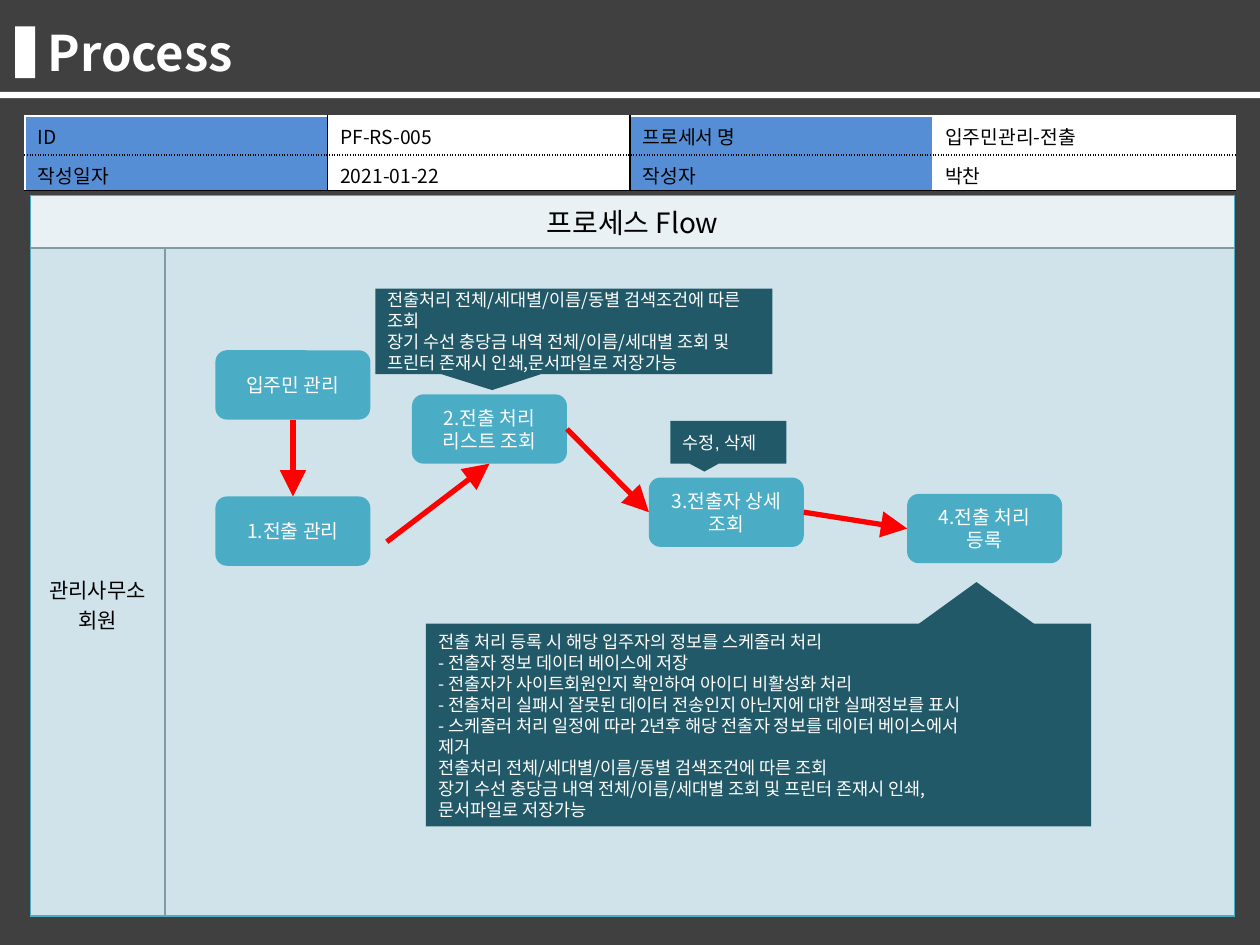
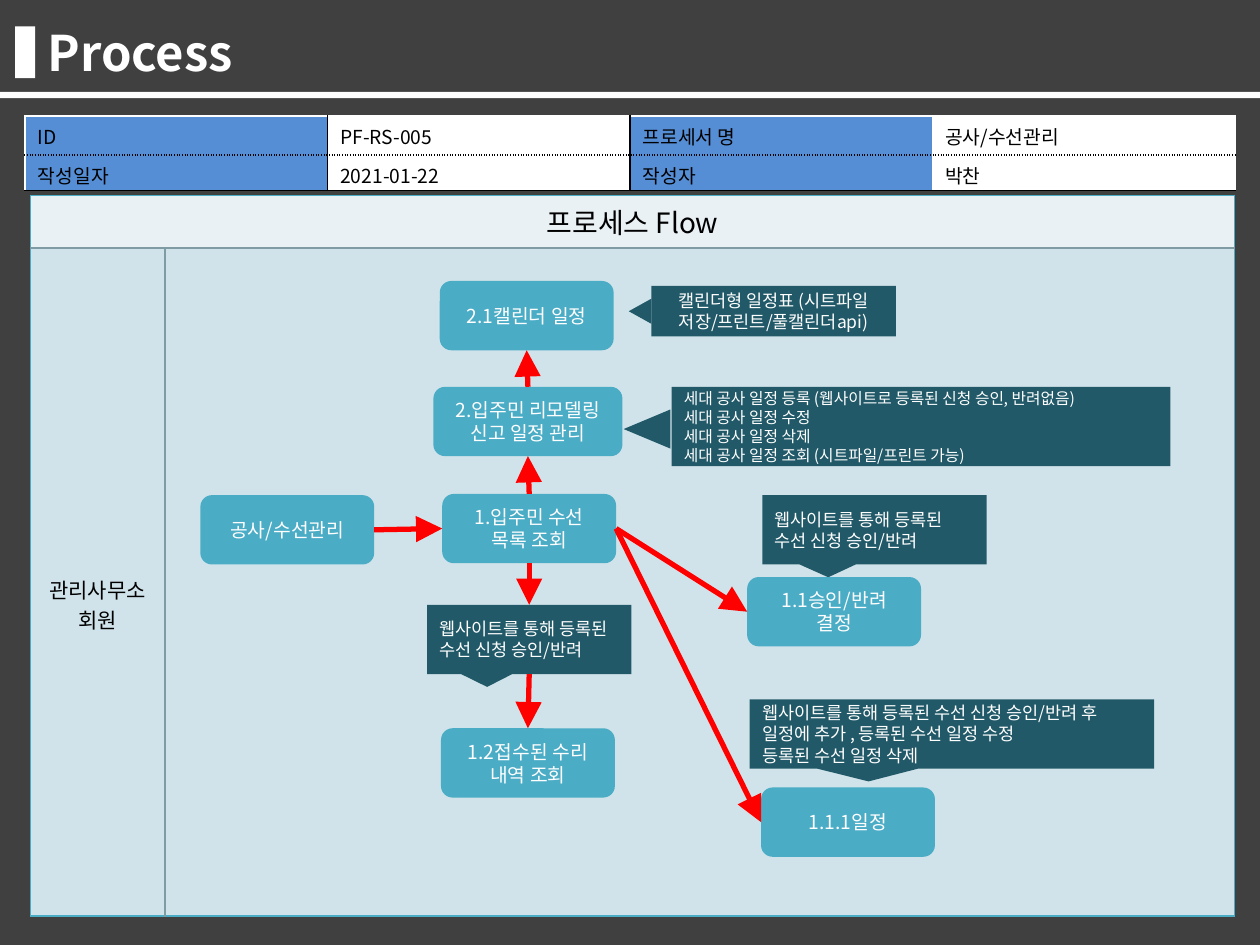
from lxml.etree import SubElement
from pptx import Presentation
from pptx.dml.color import RGBColor
from pptx.enum.shapes import MSO_CONNECTOR, MSO_SHAPE
from pptx.enum.text import MSO_ANCHOR, PP_ALIGN
from pptx.oxml.ns import qn
from pptx.util import Inches, Pt

FONT = "Noto Sans CJK KR"
WHITE = RGBColor(0xFF, 0xFF, 0xFF)
BLACK = RGBColor(0x00, 0x00, 0x00)
CHARCOAL = RGBColor(0x40, 0x40, 0x40)
BLUE = RGBColor(0x55, 0x8E, 0xD5)
AQUA = RGBColor(0x4B, 0xAC, 0xC6)
TEAL = RGBColor(0x21, 0x59, 0x68)
MIST = RGBColor(0xD0, 0xE3, 0xEA)
PALE = RGBColor(0xE9, 0xF1, 0xF5)
GREY = RGBColor(0x7F, 0x9C, 0xA4)
RED = RGBColor(0xFF, 0x00, 0x00)

TITLE_STYLE = {"size": Pt(28), "bold": True, "color": WHITE}
HEADING_STYLE = {"size": Pt(16), "color": BLACK}
ACTOR_STYLE = {"size": Pt(12), "color": BLACK}
META_STYLE = {"size": Pt(11), "color": BLACK}
STEP_STYLE = {"size": Pt(11), "color": WHITE}
NOTE_STYLE = {"size": Pt(10), "color": WHITE}
SMALL_NOTE_STYLE = {"size": Pt(9), "color": WHITE}
ARIAL_NOTE_STYLE = NOTE_STYLE | {"name": "Arial"}

TOP, LEFT, BOTTOM, RIGHT = range(4)
STEP_HEIGHT = 0.55
REQUEST_NOTE = ["웹사이트를 통해 등록된 수선 신청 승인/반려"]

# steps: key -> (left, top, text)
# callouts: key -> (box, paragraphs, style)
# panels: (box, paragraphs, style, alignment, pointer box, pointer rotation)
# arrows: (from, to), each end a (key, side) pair or a free (x, y) point
PROCESSES = [
    {
        "name": "입주민관리-전출",
        "step_width": 1.23,
        "steps": {
            "root": (1.71, 2.78, "입주민 관리"),
            "1": (1.71, 3.94, "1.전출 관리"),
            "2": (3.27, 3.13, "2.전출 처리 리스트 조회"),
            "3": (5.15, 3.79, "3.전출자 상세 조회"),
            "4": (7.2, 3.92, "4.전출 처리 등록"),
        },
        "callouts": {
            "search": ((2.98, 2.29, 3.15, 0.68), [
                "전출처리 전체/세대별/이름/동별 검색조건에 따른 조회",
                "장기 수선 충당금 내역 전체/이름/세대별 조회 및 프린터 존재시 인쇄,문서파일로 저장가능",
            ], NOTE_STYLE),
            "edit": ((5.32, 3.34, 0.92, 0.34), ["수정, 삭제"], ARIAL_NOTE_STYLE),
        },
        "panels": [
            ((3.38, 4.95, 5.28, 1.61), [
                "전출 처리 등록 시 해당 입주자의 정보를 스케줄러 처리",
                "- 전출자 정보 데이터 베이스에 저장",
                "- 전출자가 사이트회원인지 확인하여 아이디 비활성화 처리",
                "- 전출처리 실패시 잘못된 데이터 전송인지 아닌지에 대한 실패정보를 표시",
                "- 스케줄러 처리 일정에 따라 2년후 해당 전출자 정보를 데이터 베이스에서\v제거",
                "전출처리 전체/세대별/이름/동별 검색조건에 따른 조회",
                "장기 수선 충당금 내역 전체/이름/세대별 조회 및 프린터 존재시 인쇄,\v문서파일로 저장가능",
            ], NOTE_STYLE, PP_ALIGN.LEFT, (7.28, 4.62, 0.94, 0.34), 0),
        ],
        "arrows": [
            (("root", BOTTOM), ("1", TOP)),
            ((3.07, 4.3), ("2", BOTTOM)),
            (("2", RIGHT), ("3", LEFT)),
            (("3", RIGHT), ("4", LEFT)),
        ],
    },
    {
        "name": "공사/수선관리",
        "step_width": 1.38,
        "steps": {
            "root": (1.59, 3.93, "공사/수선관리"),
            "1": (3.51, 3.92, "1.입주민 수선 목록 조회"),
            "1.2": (3.5, 5.78, "1.2접수된 수리 내역 조회"),
            "1.1": (5.93, 4.58, "1.1승인/반려 결정"),
            "1.1.1": (6.04, 6.25, "1.1.1일정"),
            "2": (3.44, 3.07, "2.입주민 리모델링 신고 일정 관리", 1.5),
            "2.1": (3.49, 2.23, "2.1캘린더 일정"),
        },
        "callouts": {
            "decision": ((6.05, 3.93, 1.78, 0.55), REQUEST_NOTE, NOTE_STYLE),
            "schedule": ((5.95, 5.55, 3.21, 0.55), [
                "웹사이트를 통해 등록된 수선 신청 승인/반려 후 일정에 추가 , 등록된 수선 일정 수정",
                "등록된 수선 일정 삭제",
            ], NOTE_STYLE),
            "request": ((3.39, 4.8, 1.62, 0.55), REQUEST_NOTE, NOTE_STYLE),
        },
        "panels": [
            ((5.17, 2.27, 1.94, 0.4), ["캘린더형 일정표 (시트파일 저장/프린트/풀캘린더api)"],
             NOTE_STYLE, PP_ALIGN.CENTER, (4.98, 2.38, 0.2, 0.18), 270),
            ((5.33, 3.07, 3.96, 0.63), [
                "세대 공사 일정 등록 (웹사이트로 등록된 신청 승인, 반려없음)",
                "세대 공사 일정 수정",
                "세대 공사 일정 삭제",
                "세대 공사 일정 조회 (시트파일/프린트 가능)",
            ], SMALL_NOTE_STYLE, PP_ALIGN.LEFT, (4.98, 3.22, 0.31, 0.37), 270),
        ],
        "arrows": [
            (("root", RIGHT), ("1", LEFT)),
            (("1", RIGHT), ("1.1", LEFT)),
            (("1", RIGHT), ("1.1.1", LEFT)),
            (("1", BOTTOM), ("request", TOP)),
            (("request", BOTTOM), ("1.2", TOP)),
            (("1", TOP), ("2", BOTTOM)),
            (("2", TOP), ("2.1", BOTTOM)),
        ],
    },
]


def write(frame, paragraphs, style, align=PP_ALIGN.LEFT):
    frame.word_wrap = True
    frame.text = "\n".join(paragraphs)
    for paragraph in frame.paragraphs:
        paragraph.alignment = align
        for run in paragraph.runs:
            for attribute, value in ({"name": FONT} | style).items():
                if attribute == "color":
                    run.font.color.rgb = value
                else:
                    setattr(run.font, attribute, value)
            SubElement(run.font._element, qn("a:ea"), typeface=FONT)


def add_block(slide, preset, box, color):
    block = slide.shapes.add_shape(preset, *map(Inches, box))
    block.shadow.inherit = False
    block.fill.solid()
    block.fill.fore_color.rgb = color
    block.line.fill.background()
    return block


def add_note(slide, preset, box, color, paragraphs, style, align=PP_ALIGN.LEFT):
    note = add_block(slide, preset, box, color)
    note.text_frame.vertical_anchor = MSO_ANCHOR.MIDDLE
    write(note.text_frame, paragraphs, style, align)
    return note


def add_plain_table(slide, box, widths, heights):
    table = slide.shapes.add_table(len(heights), len(widths), *map(Inches, box)).table
    table.first_row = table.horz_banding = False
    for column, width in zip(table.columns, widths):
        column.width = Inches(width)
    for row, height in zip(table.rows, heights):
        row.height = Inches(height)
    return table


def format_cell(cell, color, borders):
    """Borders are (color, dash) pairs for left, right, top and bottom."""
    properties = cell._tc.get_or_add_tcPr()
    for side, (border_color, dash) in zip("LRTB", borders):
        line = SubElement(properties, qn(f"a:ln{side}"), w=str(Pt(1)))
        SubElement(SubElement(line, qn("a:solidFill")), qn("a:srgbClr"), val=str(border_color))
        SubElement(line, qn("a:prstDash"), val=dash)
    cell.fill.solid()
    cell.fill.fore_color.rgb = color


def add_frame(slide):
    """Background, title, title marker and rule."""
    add_block(slide, MSO_SHAPE.RECTANGLE, (0, 0, 10, 7.5), CHARCOAL)
    title = slide.shapes.add_textbox(*map(Inches, (0.28, 0.13, 8.98, 0.57)))
    write(title.text_frame, ["Process"], TITLE_STYLE)
    for box in [(0.12, 0.21, 0.16, 0.41), (0, 0.73, 10, 0.05)]:
        add_block(slide, MSO_SHAPE.RECTANGLE, box, WHITE)


def add_flow_table(slide):
    table = add_plain_table(slide, (0.24, 1.55, 9.56, 5.72), [1.07, 8.49], [0.42, 5.3])
    heading, actor, flow = table.cell(0, 0), table.cell(1, 0), table.cell(1, 1)
    outer, inner = (AQUA, "solid"), (GREY, "solid")
    for cell in table.rows[0].cells:
        format_cell(cell, PALE, [outer, outer, outer, inner])
    format_cell(actor, MIST, [outer, inner, inner, outer])
    format_cell(flow, MIST, [inner, outer, inner, outer])
    heading.merge(table.cell(0, 1))
    write(heading.text_frame, ["프로세스 Flow"], HEADING_STYLE, PP_ALIGN.CENTER)
    write(actor.text_frame, ["관리사무소 회원"], ACTOR_STYLE, PP_ALIGN.CENTER)
    actor.vertical_anchor = MSO_ANCHOR.MIDDLE
    actor.margin_top = Inches(0.4)


def add_meta_table(slide, process_name):
    rows = [
        ["ID", "PF-RS-005", "프로세서 명", process_name],
        ["작성일자", "2021-01-22", "작성자", "박찬"],
    ]
    vertical = [(color, "solid") for color in (WHITE, BLACK, BLACK, WHITE, WHITE)]
    horizontal = [(WHITE, "solid"), (BLACK, "sysDot"), (BLACK, "solid")]
    table = add_plain_table(slide, (0.2, 0.92, 9.6, 0.59), [2.4] * 4, [0.31, 0.28])
    for r, values in enumerate(rows):
        for c, value in enumerate(values):
            cell = table.cell(r, c)
            format_cell(cell, WHITE if c % 2 else BLUE,
                        vertical[c:c + 2] + horizontal[r:r + 2])
            write(cell.text_frame, [value], META_STYLE)


def add_arrow(slide, start, end, blocks):
    arrow = slide.shapes.add_connector(MSO_CONNECTOR.STRAIGHT, 0, 0, 0, 0)
    if start[0] in blocks:
        arrow.begin_connect(blocks[start[0]], start[1])
    else:
        arrow.begin_x, arrow.begin_y = map(Inches, start)
    arrow.end_connect(blocks[end[0]], end[1])
    arrow.line.color.rgb = RED
    arrow.line.width = Pt(3)
    SubElement(arrow.line._get_or_add_ln(), qn("a:tailEnd"),
               type="triangle", w="lg", len="lg")
    SubElement(arrow._element.spPr, qn("a:effectLst"))


def add_process(slide, process):
    blocks = {}
    for key, (box, paragraphs, style) in process["callouts"].items():
        callout = add_note(slide, MSO_SHAPE.RECTANGULAR_CALLOUT, box, TEAL, paragraphs, style)
        callout.adjustments[0], callout.adjustments[1] = -0.206, 0.685
        blocks[key] = callout
    for key, (left, top, text, *own_width) in process["steps"].items():
        width = own_width[0] if own_width else process["step_width"]
        blocks[key] = add_note(slide, MSO_SHAPE.ROUNDED_RECTANGLE,
                               (left, top, width, STEP_HEIGHT), AQUA,
                               [text], STEP_STYLE, PP_ALIGN.CENTER)
    for start, end in process["arrows"]:
        add_arrow(slide, start, end, blocks)
    for box, paragraphs, style, align, pointer_box, rotation in process["panels"]:
        add_note(slide, MSO_SHAPE.RECTANGLE, box, TEAL, paragraphs, style, align)
        pointer = add_block(slide, MSO_SHAPE.ISOSCELES_TRIANGLE, pointer_box, TEAL)
        pointer.rotation = rotation


def main():
    deck = Presentation()
    deck.slide_width, deck.slide_height = Inches(10), Inches(7.5)
    for process in PROCESSES:
        slide = deck.slides.add_slide(deck.slide_layouts[6])
        add_frame(slide)
        add_flow_table(slide)
        add_meta_table(slide, process["name"])
        add_process(slide, process)
    deck.save("out.pptx")


if __name__ == "__main__":
    main()
